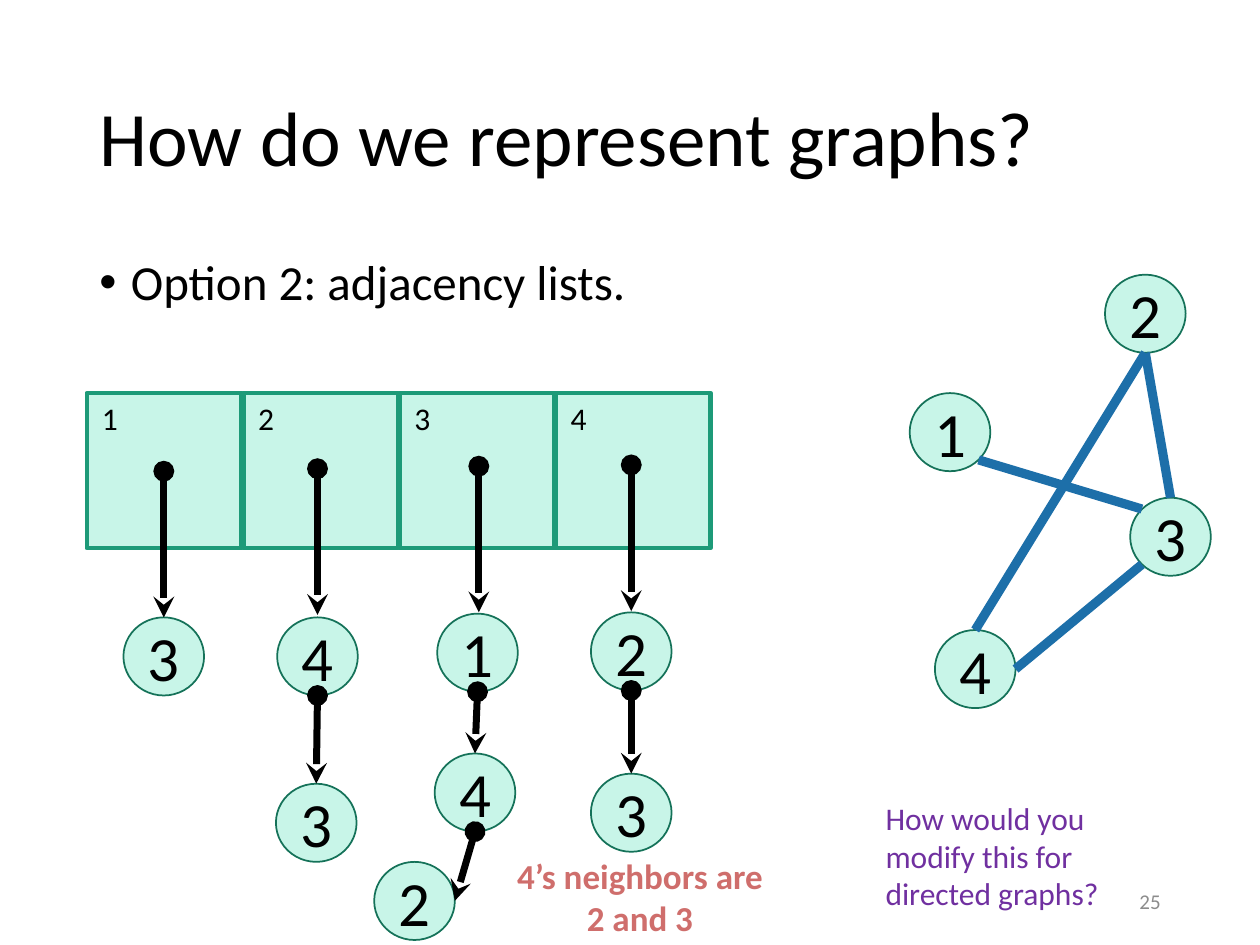
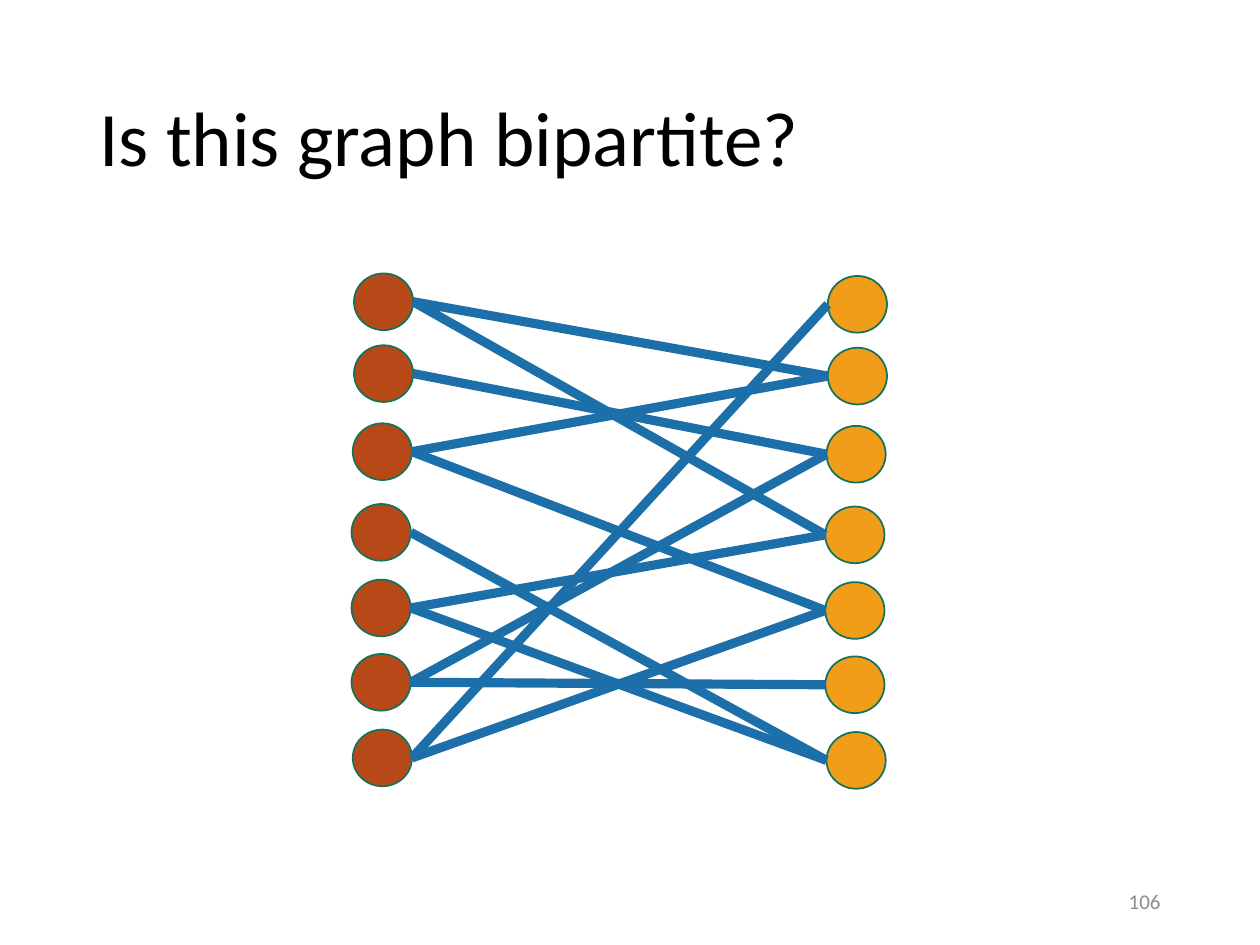
from dataclasses import dataclass

from lxml.etree import SubElement
from pptx import Presentation
from pptx.dml.color import RGBColor
from pptx.enum.shapes import MSO_CONNECTOR as Link, MSO_SHAPE as Kind
from pptx.enum.text import MSO_ANCHOR as Anchor, PP_ALIGN as Align
from pptx.oxml.ns import qn
from pptx.util import Inches, Pt


@dataclass(frozen=True)
class Theme:
    font: str = "Calibri"
    ink: str = "000000"
    mint: str = "C8F5E8"
    rim: str = "157259"
    teal: str = "1D9A78"
    blue: str = "1D6FA9"
    rust: str = "B74919"
    gold: str = "F19D19"
    plum: str = "7030A0"
    rose: str = "CF6E6C"
    gray: str = "8C8C8C"
    title: int = 44
    node: int = 36
    body: int = 28
    hint: int = 20
    note: int = 18
    foot: int = 12


LEFT, RIGHT, TOP, BOTTOM = (-1, 0), (1, 0), (0, -1), (0, 1)
DIAG = 0.71
LOW_LEFT, LOW_RIGHT, UP_LEFT = (-DIAG, DIAG), (DIAG, DIAG), (-DIAG, -DIAG)


def port(box, side):
    """Point on the rim of the oval in box, in inches."""
    x, y, w, h = box
    return x + w / 2 * (1 + side[0]), y + h / 2 * (1 + side[1])


class Deck:
    def __init__(self, theme):
        self.theme = theme
        self.prs = Presentation()
        self.prs.slide_width, self.prs.slide_height = Inches(10), Inches(7.5)
        self.slide = None

    def start(self, title, number):
        """Open a slide with its title and page number."""
        th = self.theme
        self.slide = self.prs.slides.add_slide(self.prs.slide_layouts[6])
        self.text((0.69, 0.4, 8.62, 1.45), title, th.title,
                  anchor=Anchor.MIDDLE, space=0.9)
        self.text((7.06, 6.95, 2.25, 0.4), number, th.foot, th.gray,
                  align=Align.RIGHT, anchor=Anchor.MIDDLE)

    def add_run(self, para, words, size, color, bold=False):
        run = para.add_run()
        run.text = words
        font = run.font
        font.name, font.size, font.bold = self.theme.font, Pt(size), bold
        font.color.rgb = RGBColor.from_string(color)

    def text(self, box, words, size, color=None, align=Align.LEFT,
             anchor=Anchor.TOP, bold=False, space=None, bullet=False):
        frame = self.slide.shapes.add_textbox(*map(Inches, box)).text_frame
        frame.word_wrap = True
        frame.vertical_anchor = anchor
        para = frame.paragraphs[0]
        para.alignment = align
        if space:
            para.line_spacing = space
        if bullet:
            props = para._p.get_or_add_pPr()
            props.set("marL", str(Inches(0.25)))
            props.set("indent", str(-Inches(0.25)))
            SubElement(props, qn("a:buFont"), typeface="Arial")
            SubElement(props, qn("a:buChar"), char="•")
        self.add_run(para, words, size, color or self.theme.ink, bold)

    def shape(self, kind, box, fill, line, width):
        shape = self.slide.shapes.add_shape(kind, *map(Inches, box))
        shape.shadow.inherit = False
        shape.fill.solid()
        shape.fill.fore_color.rgb = RGBColor.from_string(fill)
        shape.line.color.rgb = RGBColor.from_string(line)
        shape.line.width = Pt(width)
        return shape

    def cell(self, box):
        self.shape(Kind.RECTANGLE, box, self.theme.mint, self.theme.teal, 2.75)

    def dot(self, box, fill):
        return self.shape(Kind.OVAL, box, fill, self.theme.rim, 1)

    def node(self, x, y, label):
        """Draw a labelled graph node and return its box."""
        box = (x, y, 0.64, 0.62)
        frame = self.dot(box, self.theme.mint).text_frame
        frame.vertical_anchor = Anchor.MIDDLE
        para = frame.paragraphs[0]
        para.alignment = Align.CENTER
        self.add_run(para, label, self.theme.node, self.theme.ink)
        return box

    def line(self, start, end, color, width):
        link = self.slide.shapes.add_connector(
            Link.STRAIGHT, *map(Inches, (*start, *end)))
        link.line.color.rgb = RGBColor.from_string(color)
        link.line.width = Pt(width)
        SubElement(link._element.spPr, qn("a:effectLst"))
        return link

    def edge(self, start, end):
        self.line(start, end, self.theme.blue, 5.25)

    def arrow(self, start, end):
        """Draw a list pointer: a round tail and a pointed head."""
        stroke = self.line(start, end, self.theme.ink, 4).line._get_or_add_ln()
        SubElement(stroke, qn("a:headEnd"), type="oval")
        SubElement(stroke, qn("a:tailEnd"), type="stealth")


def draw_lists(deck):
    th = deck.theme
    deck.start("How do we represent graphs?", "25")
    deck.text((0.69, 2, 8.62, 4.76), "Option 2: adjacency lists.", th.body,
              space=0.9, bullet=True)

    spots = {"1": (7.22, 3.12), "2": (8.77, 2.18),
             "3": (8.97, 3.95), "4": (7.42, 5)}
    graph = {name: deck.node(*spot, name) for name, spot in spots.items()}
    for a, out, b, into in (("4", RIGHT, "3", LOW_LEFT),
                            ("4", TOP, "2", BOTTOM),
                            ("3", TOP, "2", BOTTOM),
                            ("3", UP_LEFT, "1", LOW_RIGHT)):
        deck.edge(port(graph[a], out), port(graph[b], into))

    deck.text((6.93, 6.29, 2.13, 1.01),
              "How would you modify this for directed graphs?",
              th.note, th.plum)
    deck.text((3.93, 6.73, 2.3, 0.77), "4’s neighbors are 2 and 3",
              th.hint, th.rose, align=Align.CENTER, bold=True)

    side, step, top = 1.23, 1.24, 3.12
    for i in range(4):
        left = 0.69 + i * step
        deck.cell((left, top, side, side))
        deck.text((left + 0.02, top, 0.39, 0.4), str(i + 1), th.note)

    chains = (
        ((1.3, 3.74), [(0.98, 4.9, "3")]),
        ((2.52, 3.72), [(2.2, 4.9, "4"), (2.19, 6.22, "3")]),
        ((3.8, 3.7), [(3.47, 4.87, "1"), (3.45, 5.98, "4"),
                      (2.97, 6.84, "2")]),
        ((5.01, 3.69), [(4.69, 4.86, "2"), (4.69, 6.14, "3")]),
    )
    for (x, y), items in chains:
        boxes = [deck.node(*item) for item in items]
        deck.arrow((x, y), (x, y + 1.16))
        for prev, box in zip(boxes, boxes[1:]):
            aside = box[0] < prev[0] - 0.3
            deck.arrow(port(prev, BOTTOM), port(box, RIGHT if aside else TOP))


def draw_halves(deck):
    th = deck.theme
    deck.start("Is this graph bipartite?", "106")
    spots = ((2.81, 2.17), (2.81, 2.74), (2.8, 3.36), (2.79, 4),
             (2.79, 4.6), (2.79, 5.19), (2.8, 5.79))
    rust = [(x, y, 0.47, 0.45) for x, y in spots]
    gold = [(x + 3.76, y + 0.02, w, h) for x, y, w, h in rust]
    for boxes, fill in ((rust, th.rust), (gold, th.gold)):
        for box in boxes:
            deck.dot(box, fill)
    pairs = ((0, 1), (0, 3), (2, 1), (2, 4), (4, 3), (3, 6),
             (6, 0), (5, 2), (5, 5), (4, 6), (6, 4), (1, 2))
    for a, b in pairs:
        deck.edge(port(gold[b], LEFT), port(rust[a], RIGHT))


def main():
    deck = Deck(Theme())
    draw_lists(deck)
    draw_halves(deck)
    deck.prs.save("out.pptx")


if __name__ == "__main__":
    main()
